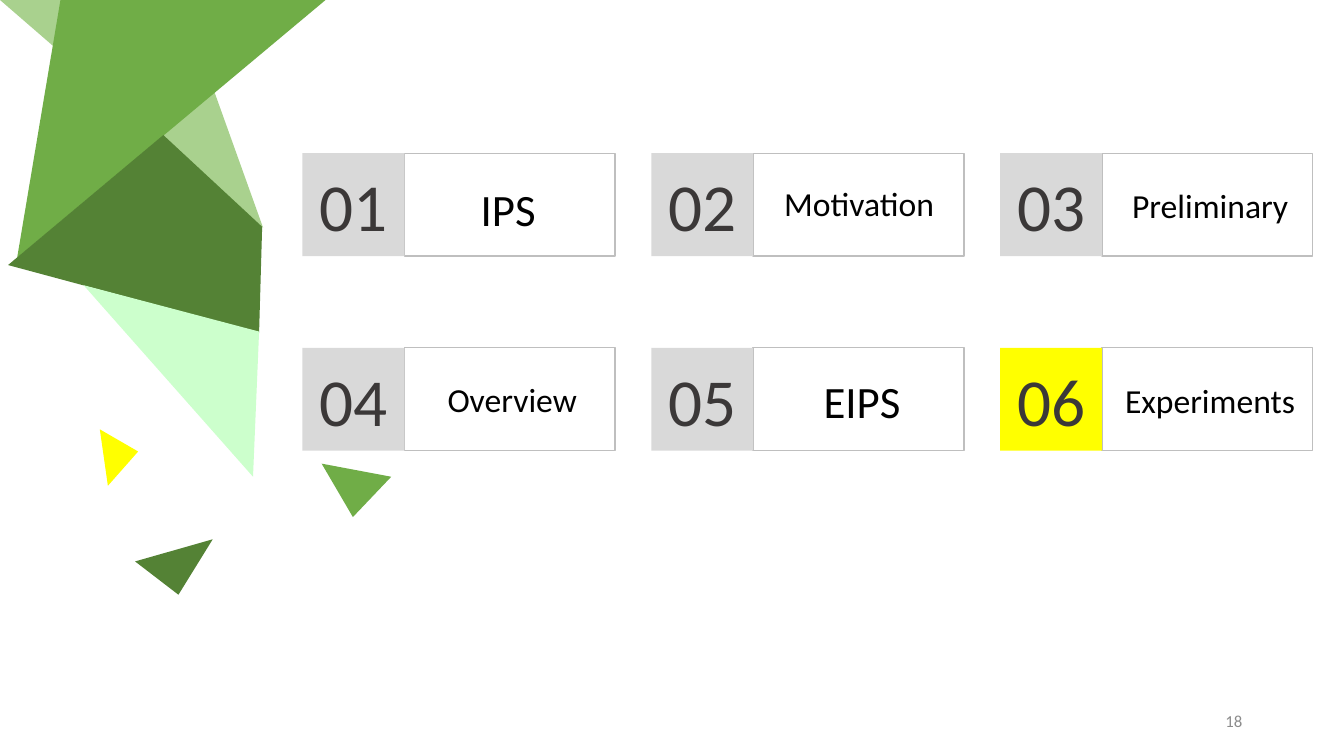
"""Build an agenda slide with six numbered cards and faceted green art."""
from dataclasses import dataclass

from pptx import Presentation
from pptx.dml.color import RGBColor
from pptx.enum.shapes import MSO_SHAPE
from pptx.enum.text import MSO_ANCHOR, PP_ALIGN
from pptx.util import Inches, Pt

RECT = MSO_SHAPE.RECTANGLE
TOP, MIDDLE = MSO_ANCHOR.TOP, MSO_ANCHOR.MIDDLE
LEFT, CENTER, RIGHT = PP_ALIGN.LEFT, PP_ALIGN.CENTER, PP_ALIGN.RIGHT
FONT = "Calibri"
COLORS = {
    "pale": "A9D18E", "green": "70AD47", "dark": "548235", "mint": "CCFFCC",
    "yellow": "FFFF00", "gray": "D9D9D9", "edge": "BFBFBF",
    "ink": "3B3838", "black": "000000", "muted": "8C8C8C",
}
COLS = 3
GRID_X, GRID_Y = 3.0, 1.52
STEP_X, STEP_Y = 3.46, 1.93
BADGE_W, LABEL_W, CARD_H = 1.01, 2.09, 1.02


@dataclass
class Facet:
    color: str
    points: list[tuple[float, float]]


@dataclass
class Card:
    label: str
    left: float
    top: float
    width: float
    height: float = 0.5
    size: int = 24
    fill: str = "gray"


FACETS = [
    Facet("pale", [(1.8, 0), (2.61, 2.26), (0, 0)]),
    Facet("green", [(3.23, 0), (0.6, 0), (0.17, 2.56)]),
    Facet("dark", [(2.6, 2.25), (1.62, 1.34), (0.08, 2.63), (2.57, 3.3)]),
    Facet("mint", [(2.57, 3.29), (2.51, 4.73), (0.83, 2.83)]),
    Facet("dark", [(1.34, 5.57), (1.77, 5.9), (2.11, 5.35)]),
    Facet("yellow", [(0.99, 4.26), (1.07, 4.82), (1.37, 4.48)]),
    Facet("green", [(3.88, 4.73), (3.19, 4.6), (3.5, 5.13)]),
]
CARDS = [
    Card("IPS", 4.67, 1.75, 1.07, 0.64, 32),
    Card("Motivation", 7.68, 1.77, 2.13),
    Card("Preliminary", 11.13, 1.79, 1.81),
    Card("Overview", 4.34, 3.71, 1.91),
    Card("EIPS", 8.07, 3.66, 1.18, 0.64, 32),
    Card("Experiments", 11.06, 3.72, 1.97, fill="yellow"),
]


def tint(name: str) -> RGBColor:
    """Return the named color."""
    return RGBColor.from_string(COLORS[name])


def write(shape, text: str, size: int, color: str, align, anchor) -> None:
    """Set and style one line of text."""
    frame = shape.text_frame
    frame.word_wrap = True
    frame.vertical_anchor = anchor
    frame.text = text
    line = frame.paragraphs[0]
    line.alignment = align
    font = line.runs[0].font
    font.name, font.size = FONT, Pt(size)
    font.color.rgb = tint(color)


def draw_facet(shapes, facet: Facet) -> None:
    """Draw one filled polygon."""
    points = [(Inches(x), Inches(y)) for x, y in facet.points]
    pen = shapes.build_freeform(*points[0])
    pen.add_line_segments(points[1:], close=True)
    shape = pen.convert_to_shape()
    shape.shadow.inherit = False
    shape.fill.solid()
    shape.fill.fore_color.rgb = tint(facet.color)
    shape.line.fill.background()


def add_rect(shapes, left: float, top: float, width: float):
    """Add a card part without a shadow."""
    shape = shapes.add_shape(
        RECT, Inches(left), Inches(top), Inches(width), Inches(CARD_H))
    shape.shadow.inherit = False
    return shape


def add_text(shapes, left: float, top: float, width: float, height: float):
    """Add a text box."""
    return shapes.add_textbox(
        Inches(left), Inches(top), Inches(width), Inches(height))


def draw_card(shapes, index: int, card: Card) -> None:
    """Draw a numbered card in its grid cell."""
    row, col = divmod(index, COLS)
    left, top = GRID_X + col * STEP_X, GRID_Y + row * STEP_Y
    group = shapes.add_group_shape().shapes

    frame = add_rect(group, left + BADGE_W, top, LABEL_W)
    frame.fill.background()
    frame.line.color.rgb = tint("edge")
    frame.line.width = Pt(1)

    badge = add_rect(group, left, top, BADGE_W)
    badge.fill.solid()
    badge.fill.fore_color.rgb = tint(card.fill)
    badge.line.fill.background()
    write(badge, f"{index + 1:02}", 48, "ink", CENTER, MIDDLE)

    label = add_text(group, card.left, card.top, card.width, card.height)
    write(label, card.label, card.size, "black", LEFT, TOP)


def main() -> None:
    """Build and save the slide."""
    deck = Presentation()
    deck.slide_width, deck.slide_height = Inches(13.33), Inches(7.5)
    shapes = deck.slides.add_slide(deck.slide_layouts[6]).shapes
    for facet in FACETS:
        draw_facet(shapes, facet)
    for index, card in enumerate(CARDS):
        draw_card(shapes, index, card)
    number = add_text(shapes, 9.42, 6.95, 3, 0.4)
    write(number, "18", 12, "muted", RIGHT, MIDDLE)
    deck.save("out.pptx")


if __name__ == "__main__":
    main()
